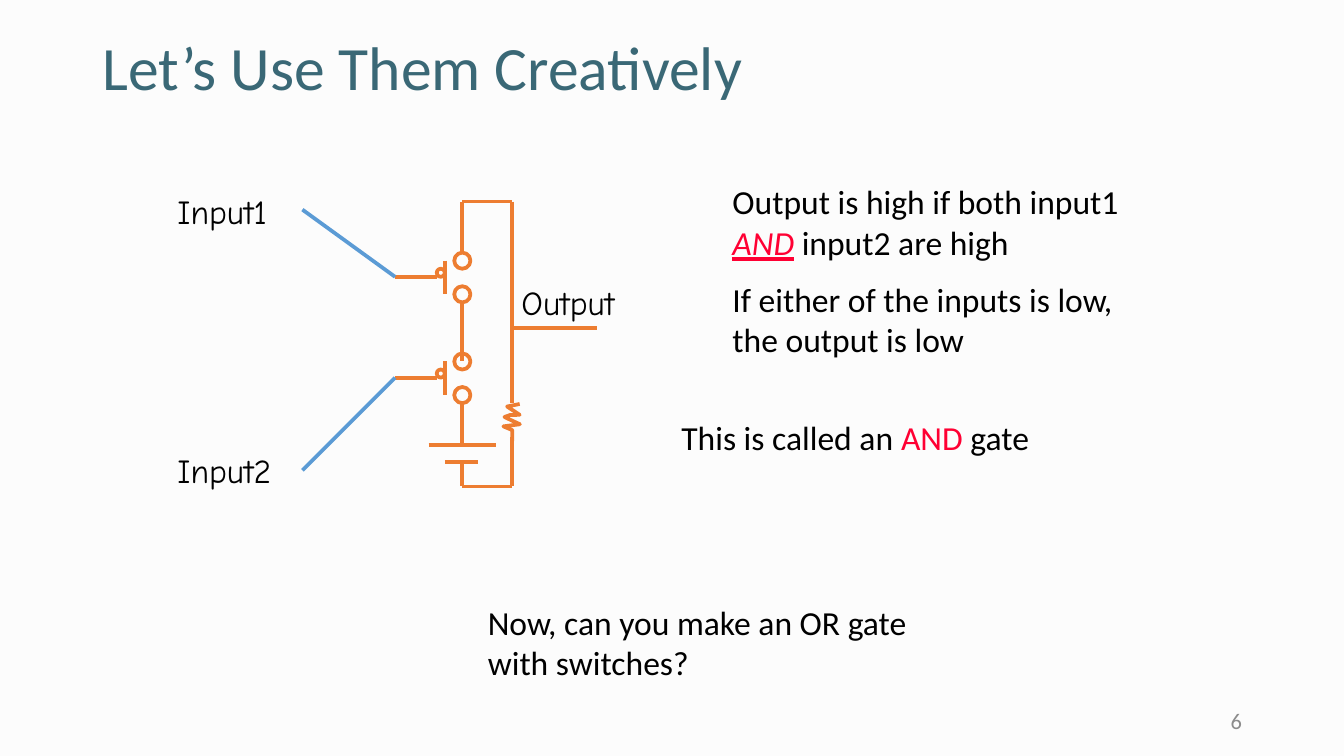
"""Build the slide that shows an AND gate made from two switches."""
from lxml import etree
from pptx import Presentation
from pptx.dml.color import RGBColor
from pptx.enum.shapes import MSO_CONNECTOR, MSO_SHAPE
from pptx.enum.text import MSO_ANCHOR, PP_ALIGN
from pptx.oxml.ns import qn
from pptx.util import Inches, Pt

STRAIGHT = MSO_CONNECTOR.STRAIGHT
OVAL = MSO_SHAPE.OVAL
MIDDLE = MSO_ANCHOR.MIDDLE
LEFT = PP_ALIGN.LEFT
RIGHT = PP_ALIGN.RIGHT

BACKGROUND = RGBColor(0xFC, 0xFC, 0xFC)
TEAL = RGBColor(0x3A, 0x68, 0x76)
ORANGE = RGBColor(0xED, 0x7D, 0x31)
BLUE = RGBColor(0x5B, 0x9B, 0xD5)
BLACK = RGBColor(0, 0, 0)
RED = RGBColor(0xFF, 0x00, 0x33)
GRAY = RGBColor(0x8C, 0x8C, 0x8C)
BODY_FONT = "Calibri"
LABEL_FONT = "Comic Neue"


def add_wire(x1, y1, x2, y2, color=ORANGE):
    wire = slide.shapes.add_connector(
        STRAIGHT, Inches(x1), Inches(y1), Inches(x2), Inches(y2))
    wire.line.color.rgb = color
    wire.line.width = Pt(2)
    etree.SubElement(wire._element.spPr, qn("a:effectLst"))


def fill_text(shape, paragraphs, font_name=BODY_FONT, size=18, color=BLACK):
    text_frame = shape.text_frame
    text_frame.word_wrap = True
    text_frame.margin_left = text_frame.margin_right = Inches(0.07)
    text_frame.margin_top = text_frame.margin_bottom = Inches(0.04)
    for index, parts in enumerate(paragraphs):
        paragraph = text_frame.add_paragraph() if index else text_frame.paragraphs[0]
        if index:
            paragraph.space_before = Pt(size / 2)
        for part in parts:
            run = paragraph.add_run()
            run.text = part
            run.font.name = font_name
            run.font.size = Pt(size)
            run.font.color.rgb = RED if part == "AND" else color


presentation = Presentation()
presentation.slide_width = Inches(10)
presentation.slide_height = Inches(10) * 9 // 16
slide = presentation.slides.add_slide(presentation.slide_layouts[5])
slide.background.fill.solid()
slide.background.fill.fore_color.rgb = BACKGROUND

title = slide.shapes.title
title.left, title.top = Inches(0.69), Inches(0.21)
title.width, title.height = Inches(8.62), Inches(0.63)
fill_text(title, [["Let’s Use Them Creatively"]], size=33, color=TEAL)
title.text_frame.vertical_anchor = MIDDLE
title.text_frame.paragraphs[0].alignment = LEFT
title.text_frame.paragraphs[0].line_spacing = 0.9

circuit_wires = [
    (3.44, 1.5, 3.44, 1.88),
    (3.44, 1.5, 3.81, 1.5),
    (3.81, 1.5, 3.81, 3),
    (3.44, 2.25, 3.44, 2.69),
    (3.44, 3, 3.44, 3.31),
    (3.19, 3.31, 3.69, 3.31),
    (3.31, 3.44, 3.56, 3.44),
    (3.44, 3.44, 3.44, 3.62),
    (3.44, 3.62, 3.81, 3.62),
    (3.81, 3.25, 3.81, 3.62),
    (3.81, 2.44, 4.44, 2.44),
]
for wire_ends in circuit_wires:
    add_wire(*wire_ends)

resistor_points = [
    (3.85, 3), (3.76, 3.03), (3.86, 3.08), (3.79, 3.09), (3.75, 3.11),
    (3.81, 3.13), (3.87, 3.15), (3.75, 3.18), (3.82, 3.2), (3.83, 3.28),
]
corners = [(Inches(x), Inches(y)) for x, y in resistor_points]
builder = slide.shapes.build_freeform(*corners[0])
builder.add_line_segments(corners[1:], close=False)
resistor = builder.convert_to_shape()
resistor.rotation = 7
outlines = [resistor]

for switch_top, input_y in ((1.88, 1.56), (2.63, 3.5)):
    gate_y = switch_top + 0.18
    for x, y, size in ((3.38, switch_top, 0.12),
                       (3.38, switch_top + 0.25, 0.12),
                       (3.25, switch_top + 0.12, 0.06)):
        outlines.append(slide.shapes.add_shape(
            OVAL, Inches(x), Inches(y), Inches(size), Inches(size)))
    add_wire(3.31, gate_y - 0.12, 3.31, gate_y + 0.13)
    add_wire(2.94, gate_y, 3.25, gate_y)
    add_wire(2.25, input_y, 2.94, gate_y, BLUE)

for outline in outlines:
    outline.shadow.inherit = False
    outline.fill.background()
    outline.line.color.rgb = ORANGE
    outline.line.width = Pt(2)

texts = [
    (5.38, 1.31, 3.25, 1.44, BODY_FONT, [
        ["Output is high if both input1 ", "AND", " input2 are high"],
        ["If either of the inputs is low, the output is low"]]),
    (1.25, 1.38, 1.12, 0.38, LABEL_FONT, [["Input1"]]),
    (1.25, 3.31, 1, 0.38, LABEL_FONT, [["Input2"]]),
    (3.81, 2.06, 1.06, 0.38, LABEL_FONT, [["Output"]]),
    (5, 3.06, 3.44, 0.38, BODY_FONT, [["This is called an ", "AND", " gate"]]),
    (3.56, 4.44, 3.38, 0.68, BODY_FONT,
     [["Now, can you make an OR gate with switches?"]]),
]
text_boxes = []
for left, top, width, height, font_name, paragraphs in texts:
    text_box = slide.shapes.add_textbox(
        Inches(left), Inches(top), Inches(width), Inches(height))
    fill_text(text_box, paragraphs, font_name)
    text_boxes.append(text_box)

emphasis = text_boxes[0].text_frame.paragraphs[0].runs[1].font
emphasis.italic = True
emphasis.underline = True

slide_number = slide.shapes.add_textbox(
    Inches(7.06), Inches(5.21), Inches(2.25), Inches(0.3))
fill_text(slide_number, [["6"]], size=12, color=GRAY)
slide_number.text_frame.vertical_anchor = MIDDLE
slide_number.text_frame.paragraphs[0].alignment = RIGHT

presentation.save("out.pptx")
